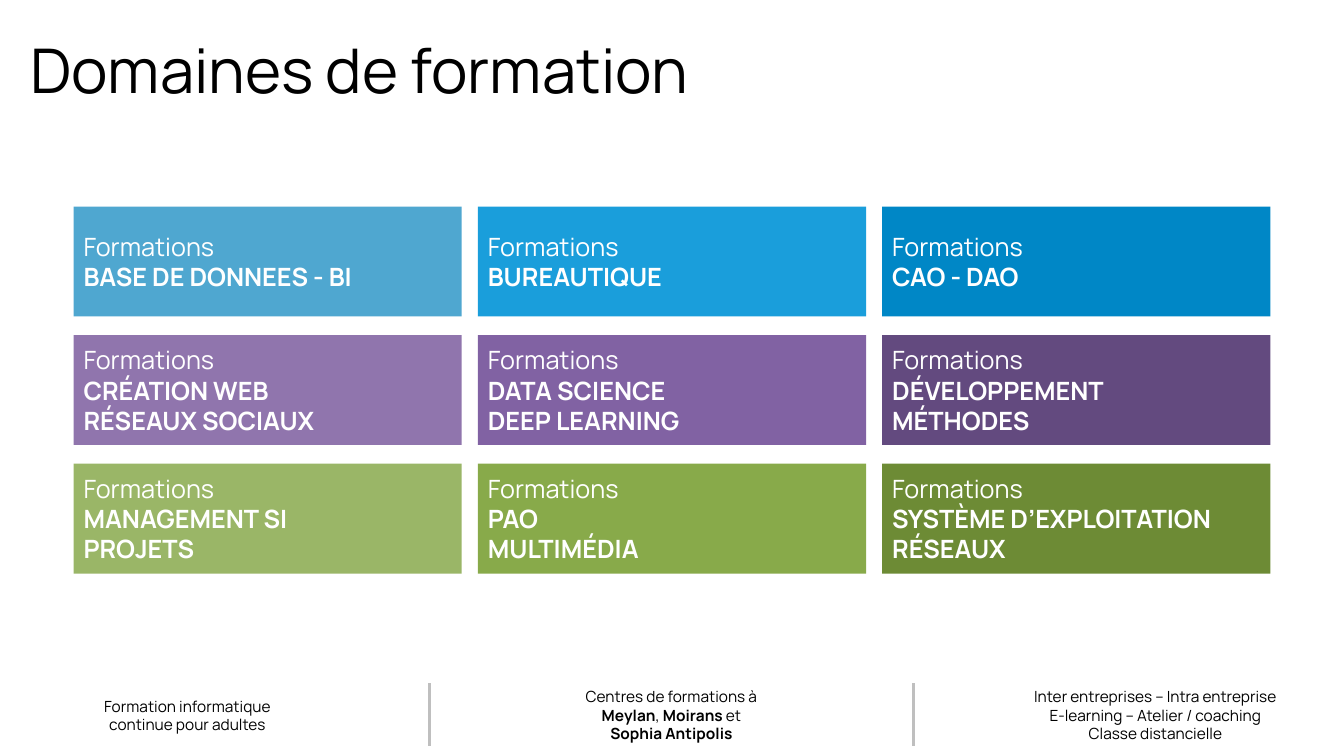
from lxml import etree
from pptx import Presentation
from pptx.dml.color import RGBColor
from pptx.enum import shapes, text
from pptx.oxml.ns import qn
from pptx.util import Inches, Pt

FONT = "Manrope"
BLACK = RGBColor(0x00, 0x00, 0x00)
WHITE = RGBColor(0xFF, 0xFF, 0xFF)
GREY = RGBColor(0xBF, 0xBF, 0xBF)
SKY = RGBColor(0x4F, 0xA7, 0xD0)
AZURE = RGBColor(0x1A, 0x9E, 0xDB)
BLUE = RGBColor(0x00, 0x87, 0xC6)
LILAC = RGBColor(0x90, 0x75, 0xAD)
PURPLE = RGBColor(0x81, 0x62, 0xA3)
PLUM = RGBColor(0x63, 0x4A, 0x7F)
LIME = RGBColor(0x9A, 0xB6, 0x67)
GREEN = RGBColor(0x88, 0xAA, 0x4A)
OLIVE = RGBColor(0x6D, 0x8B, 0x35)

DOMAINS = [
    [(SKY, ["BASE DE DONNEES - BI"]),
     (AZURE, ["BUREAUTIQUE"]),
     (BLUE, ["CAO - DAO"])],
    [(LILAC, ["CRÉATION WEB", "RÉSEAUX SOCIAUX"]),
     (PURPLE, ["DATA SCIENCE", "DEEP LEARNING"]),
     (PLUM, ["DÉVELOPPEMENT", "MÉTHODES"])],
    [(LIME, ["MANAGEMENT SI", "PROJETS"]),
     (GREEN, ["PAO", "MULTIMÉDIA"]),
     (OLIVE, ["SYSTÈME D’EXPLOITATION", "RÉSEAUX"])],
]

FOOTER = [
    [[("Formation informatique", False)],
     [("continue pour adultes", False)]],
    [[("Centres de formations à", False)],
     [("Meylan", True), (", ", False), ("Moirans", True), (" et", False)],
     [("Sophia Antipolis", True)]],
    [[("Inter entreprises – Intra entreprise", False)],
     [("E-learning – Atelier / coaching", False)],
     [("Classe distancielle", False)]],
]


def write(holder, lines, size, color=BLACK, align=text.PP_ALIGN.LEFT,
          spacing=1.0, margin_left=0.1):
    frame = holder.text_frame
    frame.word_wrap = True
    frame.vertical_anchor = text.MSO_ANCHOR.MIDDLE
    frame.margin_left = Inches(margin_left)
    for index, line in enumerate(lines):
        paragraph = frame.add_paragraph() if index else frame.paragraphs[0]
        paragraph.alignment = align
        paragraph.line_spacing = spacing
        for words, bold in line:
            run = paragraph.add_run()
            run.text = words
            run.font.name = FONT
            run.font.size = Pt(size)
            run.font.bold = bold
            run.font.color.rgb = color


def add_title(slide, left, top, width, height):
    title = slide.shapes.add_textbox(
        Inches(left), Inches(top), Inches(width), Inches(height))
    write(title, [[("Domaines de formation", False)]], 44,
          spacing=0.9, margin_left=0.3)


def add_domains(slide, left, top, width, height):
    tile_width, tile_height = 3.85, 1.09
    column_step = (width - tile_width) / 2
    row_step = (height - tile_height) / 2
    for row, domains in enumerate(DOMAINS):
        for column, (color, subjects) in enumerate(domains):
            tile = slide.shapes.add_shape(
                shapes.MSO_SHAPE.RECTANGLE,
                Inches(left + column * column_step),
                Inches(top + row * row_step),
                Inches(tile_width), Inches(tile_height))
            tile.shadow.inherit = False
            tile.fill.solid()
            tile.fill.fore_color.rgb = color
            tile.line.fill.background()
            lines = [[("Formations", False)]]
            lines += [[(subject, True)] for subject in subjects]
            write(tile, lines, 18, WHITE)


def add_footer(slide, left, top, width, height):
    note_width = 3.74
    step = (width - note_width) / 2
    for index, lines in enumerate(FOOTER):
        note_left = left + index * step
        if index:
            x = Inches(note_left - (step - note_width) / 2)
            divider = slide.shapes.add_connector(
                shapes.MSO_CONNECTOR.STRAIGHT,
                x, Inches(top + 0.09), x, Inches(top + 0.71))
            divider.line.color.rgb = GREY
            divider.line.width = Pt(2.25)
            etree.SubElement(divider.element.spPr, qn("a:effectLst"))
        note = slide.shapes.add_textbox(
            Inches(note_left), Inches(top), Inches(note_width), Inches(height))
        write(note, lines, 11, align=text.PP_ALIGN.CENTER)


def main():
    deck = Presentation()
    deck.slide_width = Inches(13.33)
    deck.slide_height = Inches(7.5)
    slide = deck.slides.add_slide(deck.slide_layouts[6])
    add_footer(slide, -0.01, 6.69, 13.34, 0.81)
    add_title(slide, 0, 0, 11.5, 1.45)
    add_domains(slide, 0.73, 2.05, 11.87, 3.64)
    deck.save("out.pptx")


if __name__ == "__main__":
    main()
